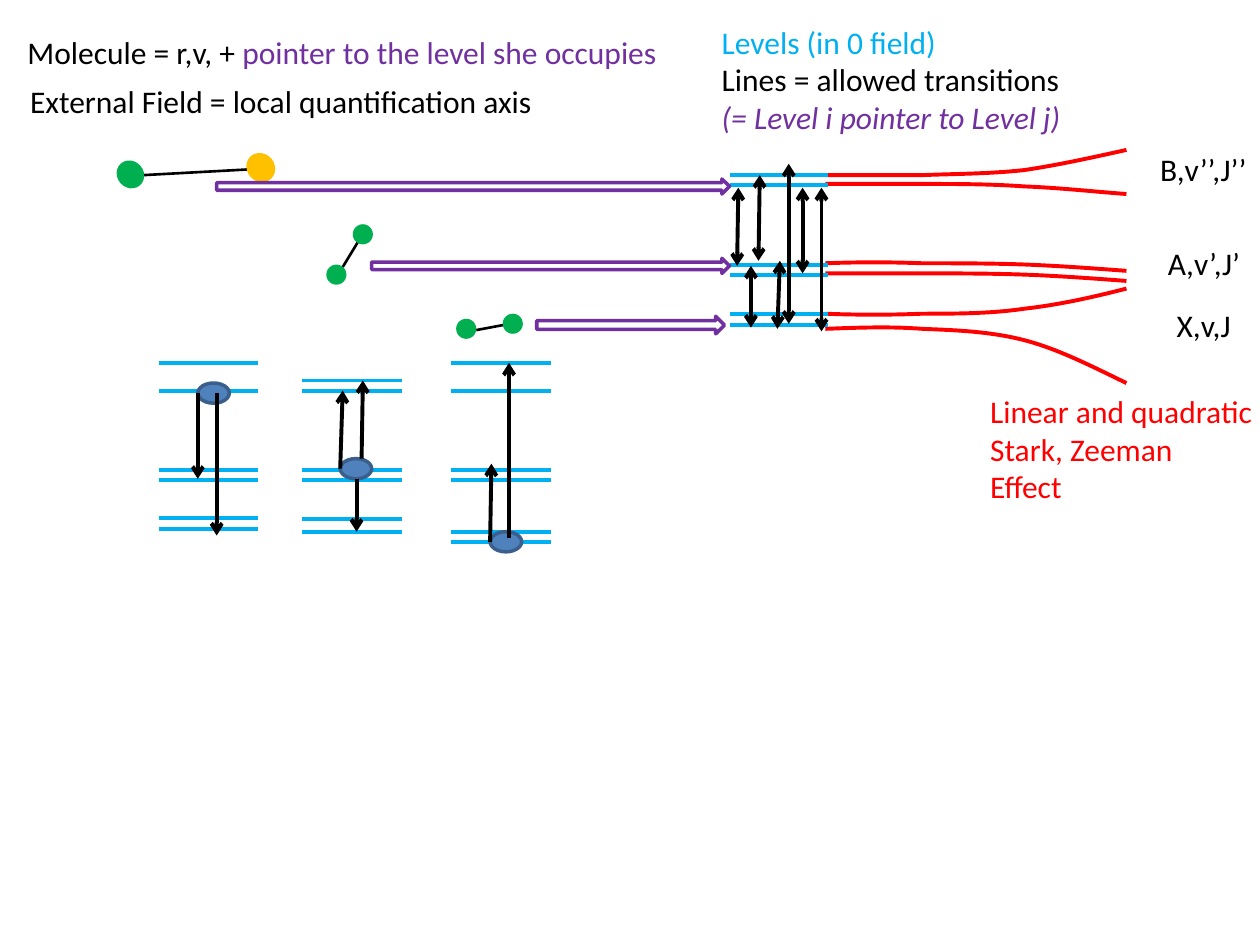
"""Molecule levels, allowed transitions and field splitting on one slide."""
from dataclasses import dataclass

from lxml.etree import SubElement
from pptx import Presentation
from pptx.dml.color import RGBColor
from pptx.enum.shapes import MSO_CONNECTOR as CONN, MSO_SHAPE as SHAPE
from pptx.enum.text import MSO_AUTO_SIZE as AUTO
from pptx.oxml.ns import qn
from pptx.util import Inches, Pt

BLACK = RGBColor(0x00, 0x00, 0x00)
CYAN = RGBColor(0x00, 0xB0, 0xF0)
PURPLE = RGBColor(0x70, 0x30, 0xA0)
RED = RGBColor(0xFF, 0x00, 0x00)
GREEN = RGBColor(0x00, 0xB0, 0x50)
AMBER = RGBColor(0xFF, 0xC0, 0x00)
BLUE = RGBColor(0x4F, 0x81, 0xBD)
NAVY = RGBColor(0x3A, 0x5F, 0x8C)

WIDTH, HEIGHT = Inches(10), Inches(7.5)
COLS, ROWS = 100, 75
Box = tuple[float, float, float, float]
Segment = tuple[float, float, float, float]
Run = tuple[str, RGBColor]


@dataclass(frozen=True)
class Label:
    """A text box whose lines are lists of coloured runs."""
    box: Box
    lines: list[list[Run]]
    italic_line: int = -1


@dataclass(frozen=True)
class LevelStack:
    """Levels of equal width, with the occupied one and its transitions."""
    left: float
    width: float
    levels: list[float]
    transitions: list[Segment]
    occupied: Box | None = None


@dataclass(frozen=True)
class Molecule:
    """Two atoms joined by a bond, with the pointer to its level."""
    bond: Segment
    atoms: list[tuple[Box, RGBColor]]
    pointer: Box
    turn: float = 49.1


LABELS = [
    Label((1.4, 6, 42.3, 4), [[("External Field = local quantification axis", BLACK)]]),
    Label((56.3, 1.3, 29.7, 10.1), [
        [("Levels (in 0 field)", CYAN)],
        [("Lines = allowed transitions", BLACK)],
        [("(= Level i pointer to Level j)", PURPLE)]], italic_line=2),
    Label((92.4, 23.8, 6.5, 4), [[("X,v,J", BLACK)]]),
    Label((91.7, 18.9, 8, 4), [[("A,v’,J’", BLACK)]]),
    Label((91.1, 11.4, 8.9, 4), [[("B,v’’,J’’", BLACK)]]),
    Label((77.6, 30.6, 23.1, 10.1), [
        [("Linear and quadratic", RED)], [("Stark, Zeeman", RED)], [("Effect", RED)]]),
    Label((1.2, 2.1, 53.7, 4), [
        [("Molecule = r,v, + ", BLACK), ("pointer to the level she occupies", PURPLE)]]),
]

STACKS = [
    LevelStack(57.9, 7.8, [13.9, 14.7, 21, 21.8, 24.9, 25.8], [
        (60.2, 20.7, 60.3, 13.9), (59.6, 21.1, 59.6, 26), (58.5, 21.1, 58.6, 14.9),
        (61.7, 26.1, 61.9, 20.7), (62.6, 25.7, 62.6, 13), (63.7, 14.9, 63.7, 21.7),
        (65.2, 14.9, 65.2, 26.3)]),
    LevelStack(12.6, 7.9, [28.8, 31, 37.3, 38.1, 41.1, 42], [
        (15.7, 31.2, 15.7, 38), (17.2, 31.2, 17.2, 42.5)], (15.7, 30.4, 2.5, 1.6)),
    LevelStack(24, 7.9, [30.2, 31, 37.3, 38.1, 41.2, 42.2], [
        (27, 37.2, 27.2, 31), (28.7, 36.4, 28.8, 30.2),
        (28.3, 38, 28.3, 42.2)], (27, 36.4, 2.5, 1.6)),
    LevelStack(35.8, 7.9, [28.8, 31, 37.3, 38.1, 42.2, 43], [
        (38.9, 43, 39, 36.8), (40.4, 42.7, 40.4, 28.8)], (38.9, 42.2, 2.5, 1.6)),
]

MOLECULES = [
    Molecule((28.9, 18.4, 27.2, 21.2),
             [((25.9, 21, 1.6, 1.6), GREEN), ((28, 17.8, 1.6, 1.6), GREEN)],
             (29.5, 20.5, 28.4, 1.2), turn=0),
    Molecule((20.6, 13.4, 11.4, 13.9),
             [((9.2, 12.8, 2.3, 2.1), GREEN), ((19.5, 12.2, 2.4, 2.2), AMBER)],
             (17.2, 14.2, 40.7, 1.2)),
    Molecule((41, 25.6, 37.8, 26.2),
             [((36.2, 25.3, 1.6, 1.6), GREEN), ((39.9, 24.9, 1.6, 1.6), GREEN)],
             (42.6, 25.1, 14.9, 1.4)),
]

CURVE_COLS = [65.5, 68.1, 70.6, 73.2, 75.8, 78.6, 81.3, 84, 86.7, 89.4]
CURVE_ROWS = [
    [24.9, 25, 25, 24.9, 24.9, 24.9, 24.5, 24.2, 23.6, 22.9],
    [26.1, 26, 25.9, 26.1, 26.2, 26.3, 27, 27.7, 29.1, 30.4],
    [21.7, 21.7, 21.7, 21.7, 21.7, 21.7, 21.8, 21.9, 22.1, 22.3],
    [20.9, 20.8, 20.8, 20.9, 20.9, 20.9, 21, 21.1, 21.3, 21.5],
    [13.9, 13.9, 13.9, 13.9, 13.8, 13.8, 13.5, 13.1, 12.5, 11.9],
    [14.6, 14.6, 14.6, 14.6, 14.6, 14.6, 14.8, 14.9, 15.2, 15.4],
]


def grid(values: tuple[float, ...]) -> list[int]:
    """Turn alternating columns and rows into slide lengths."""
    steps = (WIDTH / COLS, HEIGHT / ROWS)
    return [round(v * steps[i % 2]) for i, v in enumerate(values)]


def add_line(shapes, segment: Segment, color: RGBColor, width: float = 2.25,
             ends: tuple[str, ...] = ()) -> None:
    """Draw a straight line with arrowheads at the named ends."""
    c = shapes.add_connector(CONN.STRAIGHT, *grid(segment))
    c.line.color.rgb = color
    c.line.width = Pt(width)
    ln = c.line._get_or_add_ln()
    for end in ends:
        SubElement(ln, qn(f"a:{end}"), type="arrow")
    SubElement(c._element.spPr, qn("a:effectLst"))


def add_preset(shapes, kind: SHAPE, box: Box, fill: RGBColor | None = None,
               line: RGBColor | None = None, turn: float = 0) -> None:
    """Draw a preset shape with an optional fill and outline."""
    sp = shapes.add_shape(kind, *grid(box))
    sp.shadow.inherit = False
    sp.rotation = turn
    if fill is None:
        sp.fill.background()
    else:
        sp.fill.solid()
        sp.fill.fore_color.rgb = fill
    if line is None:
        sp.line.fill.background()
    else:
        sp.line.color.rgb = line
        sp.line.width = Pt(2)


def add_curve(shapes, rows: list[float]) -> None:
    """Draw a split level as a chain of cubic curves."""
    start, *points = [grid(p) for p in zip(CURVE_COLS, rows)]
    builder = shapes.build_freeform(*start)
    builder.add_line_segments(points, close=False)
    sp = builder.convert_to_shape()
    sp.shadow.inherit = False
    sp.fill.background()
    sp.line.color.rgb = RED
    sp.line.width = Pt(2.25)
    steps = list(sp._element.iter(qn("a:lnTo")))
    outline = steps[0].getparent()
    for i in range(0, len(steps), 3):
        bezier = SubElement(outline, qn("a:cubicBezTo"))
        for step in steps[i:i + 3]:
            bezier.append(step[0])
            outline.remove(step)


def add_label(shapes, label: Label) -> None:
    """Write one text box."""
    tf = shapes.add_textbox(*grid(label.box)).text_frame
    tf.word_wrap = False
    tf.auto_size = AUTO.SHAPE_TO_FIT_TEXT
    for i, line in enumerate(label.lines):
        p = tf.add_paragraph() if i else tf.paragraphs[0]
        p.font.name = "Calibri"
        p.font.size = Pt(18)
        if i == label.italic_line:
            p.font.italic = True
        for text, color in line:
            r = p.add_run()
            r.text = text
            r.font.color.rgb = color


def add_stack(shapes, stack: LevelStack) -> None:
    """Draw the levels, the occupied one and the transitions."""
    for y in stack.levels:
        add_line(shapes, (stack.left, y, stack.left + stack.width, y), CYAN)
    if stack.occupied:
        add_preset(shapes, SHAPE.OVAL, stack.occupied, BLUE, NAVY)
    ends = ("tailEnd",) if stack.occupied else ("headEnd", "tailEnd")
    for segment in stack.transitions:
        add_line(shapes, segment, BLACK, ends=ends)


def add_molecule(shapes, molecule: Molecule) -> None:
    """Draw a grouped molecule and its pointer arrow."""
    group = shapes.add_group_shape().shapes
    add_line(group, molecule.bond, BLACK, 1.5)
    for box, color in molecule.atoms:
        add_preset(group, SHAPE.OVAL, box, color, turn=molecule.turn)
    add_preset(shapes, SHAPE.RIGHT_ARROW, molecule.pointer, line=PURPLE)


def main() -> None:
    """Build and save the slide."""
    prs = Presentation()
    prs.slide_width, prs.slide_height = WIDTH, HEIGHT
    shapes = prs.slides.add_slide(prs.slide_layouts[6]).shapes
    for draw, items in ((add_label, LABELS), (add_curve, CURVE_ROWS),
                        (add_stack, STACKS), (add_molecule, MOLECULES)):
        for item in items:
            draw(shapes, item)
    prs.save("out.pptx")


if __name__ == "__main__":
    main()
